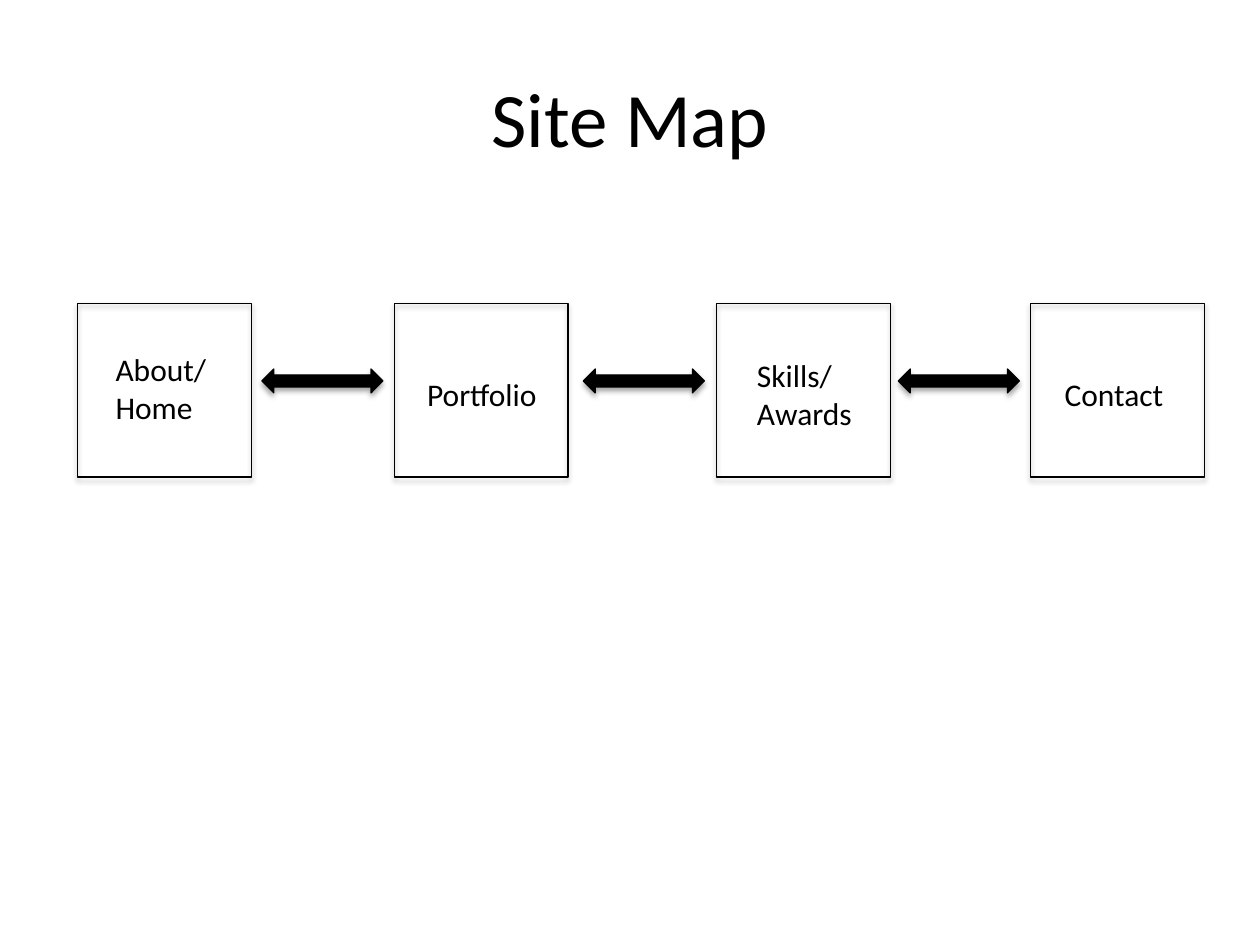
from dataclasses import dataclass

from lxml.etree import SubElement
from pptx import Presentation
from pptx.dml.color import RGBColor
from pptx.enum.shapes import MSO_SHAPE as Shape
from pptx.enum.text import MSO_ANCHOR as Anchor
from pptx.enum.text import MSO_AUTO_SIZE as Fit
from pptx.enum.text import PP_ALIGN as Align
from pptx.oxml.ns import qn
from pptx.util import Cm, Pt

INK = "000000"
FONT = "Calibri"
SIDE, BOX_TOP = 3.5, 6.12
ARROW_W, ARROW_H, ARROW_TOP = 2.44, 0.48, 7.44


@dataclass
class Page:
    """A box of the site map; all lengths are in centimetres."""
    name: str
    left: float
    text_left: float
    text_top: float
    text_w: float = 2.79
    text_h: float = 1.02


PAGES = [
    Page("About/\nHome", 1.57, 2.08, 6.93, 3.2, 1.8),
    Page("Portfolio", 7.95, 8.36, 7.44),
    Page("Skills/Awards", 14.45, 15.01, 7.06, text_h=1.8),
    Page("Contact", 20.78, 21.21, 7.44),
]
ARROWS = [5.28, 11.76, 18.11]


def color(code: str) -> RGBColor:
    return RGBColor.from_string(code)


def add_shadow(shape) -> None:
    shape.shadow.inherit = False
    effects = shape._element.spPr.find(qn("a:effectLst"))
    outer = SubElement(effects, qn("a:outerShdw"), blurRad=str(Pt(3.1)),
                       dist=str(Pt(1.8)), dir="5400000", rotWithShape="0")
    tint = SubElement(outer, qn("a:srgbClr"), val=INK)
    SubElement(tint, qn("a:alpha"), val="35000")


def add_form(slide, kind: Shape, left: float, top: float, width: float,
             height: float, fill: str = ""):
    shape = slide.shapes.add_shape(kind, Cm(left), Cm(top), Cm(width), Cm(height))
    if fill:
        shape.fill.solid()
        shape.fill.fore_color.rgb = color(fill)
    else:
        shape.fill.background()
    shape.line.color.rgb = color(INK)
    shape.line.width = Pt(0.75)
    add_shadow(shape)


def add_text(slide, text: str, left: float, top: float, width: float,
             height: float, size: int = 18, align: Align = Align.LEFT):
    box = slide.shapes.add_textbox(Cm(left), Cm(top), Cm(width), Cm(height))
    frame = box.text_frame
    frame.text = text
    frame.word_wrap = True
    for para in frame.paragraphs:
        para.alignment = align
        for run in para.runs:
            run.font.name = FONT
            run.font.size = Pt(size)
            run.font.color.rgb = color(INK)
    return frame


def main() -> None:
    deck = Presentation()
    deck.slide_width, deck.slide_height = Cm(25.4), Cm(19.05)
    slide = deck.slides.add_slide(deck.slide_layouts[6])

    title = add_text(slide, "Site Map", 1.27, 0.76, 22.86, 3.18, 44, Align.CENTER)
    title.vertical_anchor = Anchor.MIDDLE

    for page in PAGES:
        add_form(slide, Shape.RECTANGLE, page.left, BOX_TOP, SIDE, SIDE)
        label = add_text(slide, page.name, page.text_left, page.text_top,
                         page.text_w, page.text_h)
        label.auto_size = Fit.SHAPE_TO_FIT_TEXT

    for left in ARROWS:
        add_form(slide, Shape.LEFT_RIGHT_ARROW, left, ARROW_TOP,
                 ARROW_W, ARROW_H, INK)

    deck.save("out.pptx")


if __name__ == "__main__":
    main()
